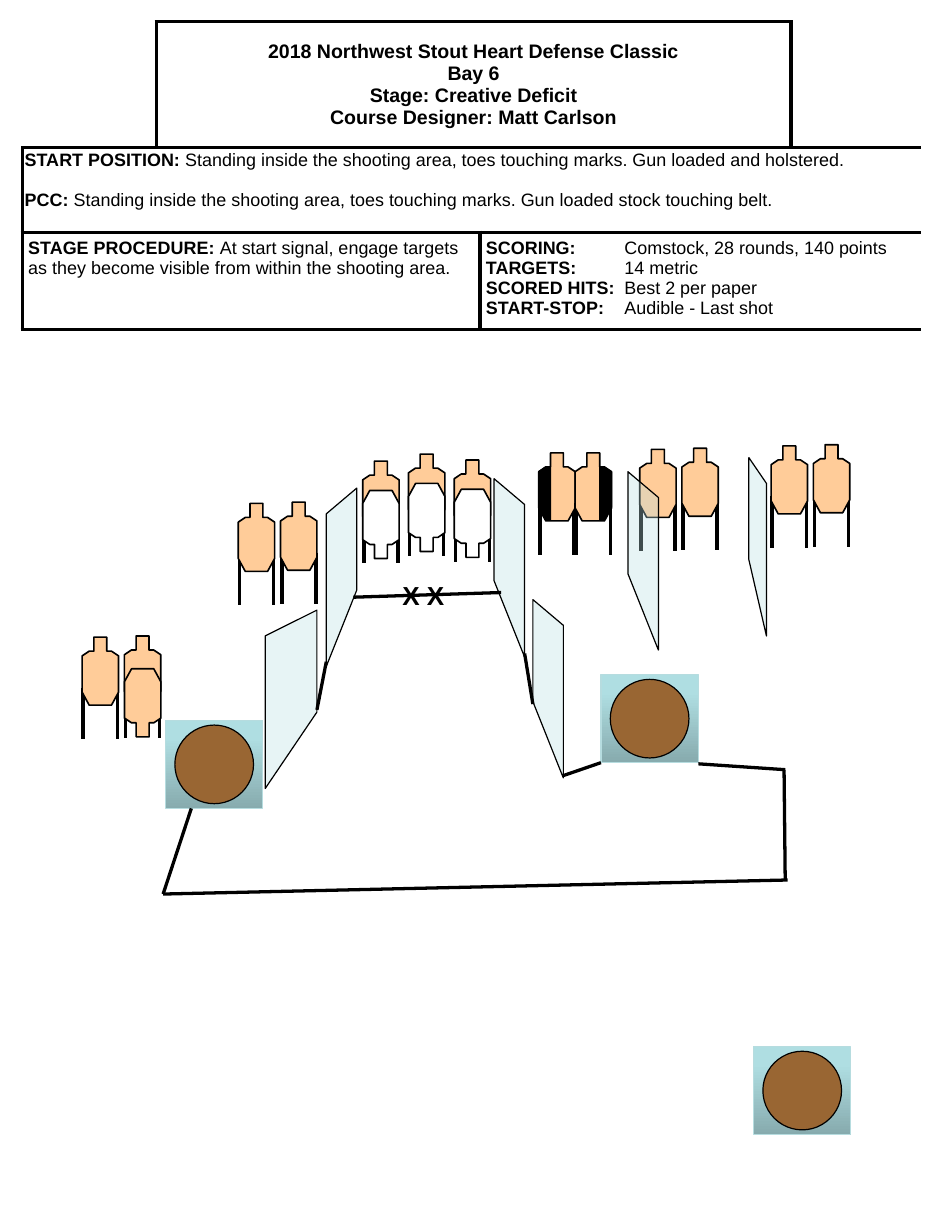
from lxml.etree import SubElement
from pptx import Presentation
from pptx.dml.color import RGBColor as RGB
from pptx.enum.shapes import MSO_CONNECTOR as CONN, MSO_SHAPE as SHAPE
from pptx.enum.text import MSO_ANCHOR as ANCHOR, PP_ALIGN as ALIGN
from pptx.oxml import parse_xml
from pptx.oxml.ns import nsdecls, qn
from pptx.util import Pt

PX = 9144
C = {"black": "000000", "white": "FFFFFF", "tan": "FFCC99", "wall": "BBE0E3",
     "barrel": "996633", "edge": "B6DCDF", "dark": "87ABAE", "mid": "AFDEE2", "light": "AFE0E4"}


def text(tf, paras, size=11, align=ALIGN.LEFT, gap=0, spacing=None, tab=None):
    for i, runs in enumerate(paras):
        p = tf.add_paragraph() if i else tf.paragraphs[0]
        if tab:
            tabs = SubElement(p._p.get_or_add_pPr(), qn("a:tabLst"))
            SubElement(tabs, qn("a:tab"), pos=str(tab * PX), algn="l")
        p.alignment = align
        p.space_before = Pt(gap if i else 0)
        if spacing:
            p.line_spacing = spacing
        for words, bold in runs:
            for j, part in enumerate(words.split("\n")):
                if j:
                    p.add_line_break()
                r = p.add_run()
                r.text = part
                r.font.name, r.font.size, r.font.bold = "Arial", Pt(size), bold
                r.font.color.rgb = RGB.from_string(C["black"])


def draw(shapes, points, fill=None, width=1, alpha=None):
    if len(points) == 2:
        (x1, y1), (x2, y2) = points
        sp = shapes.add_connector(CONN.STRAIGHT, x1 * PX, y1 * PX, x2 * PX, y2 * PX)
        SubElement(sp._element.spPr, qn("a:effectLst"))
    else:
        fb = shapes.build_freeform(*points[0], scale=PX)
        fb.add_line_segments(points[1:], close=True)
        sp = fb.convert_to_shape()
        sp.shadow.inherit = False
        sp.fill.solid()
        sp.fill.fore_color.rgb = RGB.from_string(C[fill])
        if alpha:
            clr = sp._element.spPr.find(qn("a:solidFill"))[0]
            SubElement(clr, qn("a:alpha"), val=str(alpha * 1000))
    sp.line.color.rgb = RGB.from_string(C["black"])
    sp.line.width = Pt(width)
    return sp


prs = Presentation()
prs.slide_width, prs.slide_height = 800 * PX, 1050 * PX
s = prs.slides.add_slide(prs.slide_layouts[6])

tbl = s.shapes.add_table(3, 4, 19 * PX, 18 * PX, 765 * PX, 263 * PX).table
tbl.first_row = tbl.horz_banding = False
for col, w in zip(tbl.columns, (114, 276, 265, 110)):
    col.width = w * PX
for row, h in zip(tbl.rows, (108, 72, 83)):
    row.height = h * PX

uprights = [(1, 3), (0, 4), (0, 2, 4)]
for r in range(3):
    for c in range(4):
        cell = tbl.cell(r, c)
        cell.fill.solid()
        cell.fill.fore_color.rgb = RGB.from_string(C["white"])
        cell.margin_left = cell.margin_right = (2 if r == 1 else 5) * PX
        cell.margin_top = cell.margin_bottom = (4 if r == 1 else 5) * PX
        sides = {"L": c in uprights[r], "R": c + 1 in uprights[r],
                 "T": r > 0 or c in (1, 2), "B": True}
        for i, side in enumerate(k for k, shown in sides.items() if shown):
            cell._tc.get_or_add_tcPr().insert(i, parse_xml(
                f'<a:ln{side} {nsdecls("a")} w="28575"><a:solidFill>'
                f'<a:srgbClr val="{C["black"]}"/></a:solidFill></a:ln{side}>'))
for r, first, last in [(0, 1, 2), (1, 0, 3), (2, 0, 1), (2, 2, 3)]:
    tbl.cell(r, first).merge(tbl.cell(r, last))

tbl.cell(0, 1).vertical_anchor = ANCHOR.MIDDLE
text(tbl.cell(0, 1).text_frame, [[(
    "2018 Northwest Stout Heart Defense Classic\nBay 6\nStage: Creative Deficit\n"
    "Course Designer: Matt Carlson", True)]], size=12, align=ALIGN.CENTER)
text(tbl.cell(1, 0).text_frame, [
    [("START POSITION:", True), (" Standing inside the shooting area, toes touching marks. "
                                 "Gun loaded and holstered.", False)],
    [("PCC: ", True), ("Standing inside the shooting area, toes touching marks. "
                       "Gun loaded stock touching belt.", False)]], gap=13, spacing=0.9)
text(tbl.cell(2, 0).text_frame, [
    [("STAGE PROCEDURE: ", True), ("At start signal, engage targets as they become visible "
                                   "from within the shooting area.", False)]])
text(tbl.cell(2, 2).text_frame, [[(label, True), ("\t" + value, False)] for label, value in [
    ("SCORING:", "Comstock, 28 rounds, 140 points"), ("TARGETS:", "14 metric"),
    ("SCORED HITS:", "Best 2 per paper"), ("START-STOP:", "Audible - Last shot")]], tab=118)

outline = [(10, 0), (21, 0), (21, 12), (25, 12), (31, 16), (31, 47), (25, 58),
           (6, 58), (0, 47), (0, 16), (6, 12), (10, 12)]
left_half = [(10, 12), (10, 57), (6, 57), (0, 46), (0, 16), (6, 12)]
right_half = [(31 - x, y) for x, y in left_half]
targets = [(545, 383, None), (581, 382, None), (459, 386, left_half), (490, 386, right_half),
           (348, 387, "white"), (309, 393, "white"), (387, 392, "white"),
           (203, 429, None), (239, 428, None), (70, 543, None), (106, 542, "tan"),
           (657, 380, None), (693, 379, None)]
for x, y, cover in targets:
    grp = s.shapes.add_group_shape().shapes
    for leg in (x + 1, x + 30):
        draw(grp, [(leg, y + 43), (leg, y + 87)], width=2.25)
    draw(grp, [(x + dx, y + dy) for dx, dy in outline], "tan")
    if cover in ("white", "tan"):
        drop = 25 if cover == "white" else 28
        draw(grp, [(x + dx, y + drop + dy) for dx, dy in outline], cover).rotation = 180
    elif cover:
        draw(grp, [(x + dx, y + dy) for dx, dy in cover], "black", width=0)

for x, y in [(141, 614), (512, 575), (642, 892)]:
    grp = s.shapes.add_group_shape().shapes
    box = grp.add_shape(SHAPE.RECTANGLE, x * PX, y * PX, 83 * PX, 75 * PX)
    box.fill.gradient()
    grad = box._element.spPr.find(qn("a:gradFill"))
    stops = "".join(f'<a:gs pos="{pos}000"><a:srgbClr val="{C[k]}"/></a:gs>'
                    for pos, k in [(0, "dark"), (80, "mid"), (100, "light")])
    grad.getparent().replace(grad, parse_xml(
        f'<a:gradFill {nsdecls("a")} rotWithShape="1"><a:gsLst>{stops}</a:gsLst>'
        '<a:lin ang="16200000" scaled="0"/></a:gradFill>'))
    barrel = grp.add_shape(SHAPE.OVAL, (x + 8) * PX, (y + 4) * PX, 67 * PX, 67 * PX)
    barrel.fill.solid()
    barrel.fill.fore_color.rgb = RGB.from_string(C["barrel"])
    for sp, edge in ((box, "edge"), (barrel, "black")):
        sp.shadow.inherit = False
        sp.line.color.rgb = RGB.from_string(C[edge])
        sp.line.width = Pt(0.75)

for far, top, near in [(304, 416, 278), (421, 408, 447), (270, 520, 226),
                       (454, 511, 480), (535, 402, 561), (638, 390, 653)]:
    draw(s.shapes, [(far, top + 87), (near, top + 152), (near, top + 22), (far, top)],
         "wall", width=0.75, alpha=34)

for fault_line in [[(270, 605), (278, 564)], [(454, 600), (447, 557)], [(512, 650), (480, 661)],
                   [(669, 656), (595, 651)], [(163, 689), (139, 762)], [(671, 750), (139, 762)],
                   [(668, 656), (669, 750)], [(427, 505), (301, 509)]]:
    draw(s.shapes, fault_line, width=2)

marks = s.shapes.add_textbox(333 * PX, 489 * PX, 58 * PX, 37 * PX).text_frame
text(marks, [[("X X", True)]], size=16)

prs.save("out.pptx")
